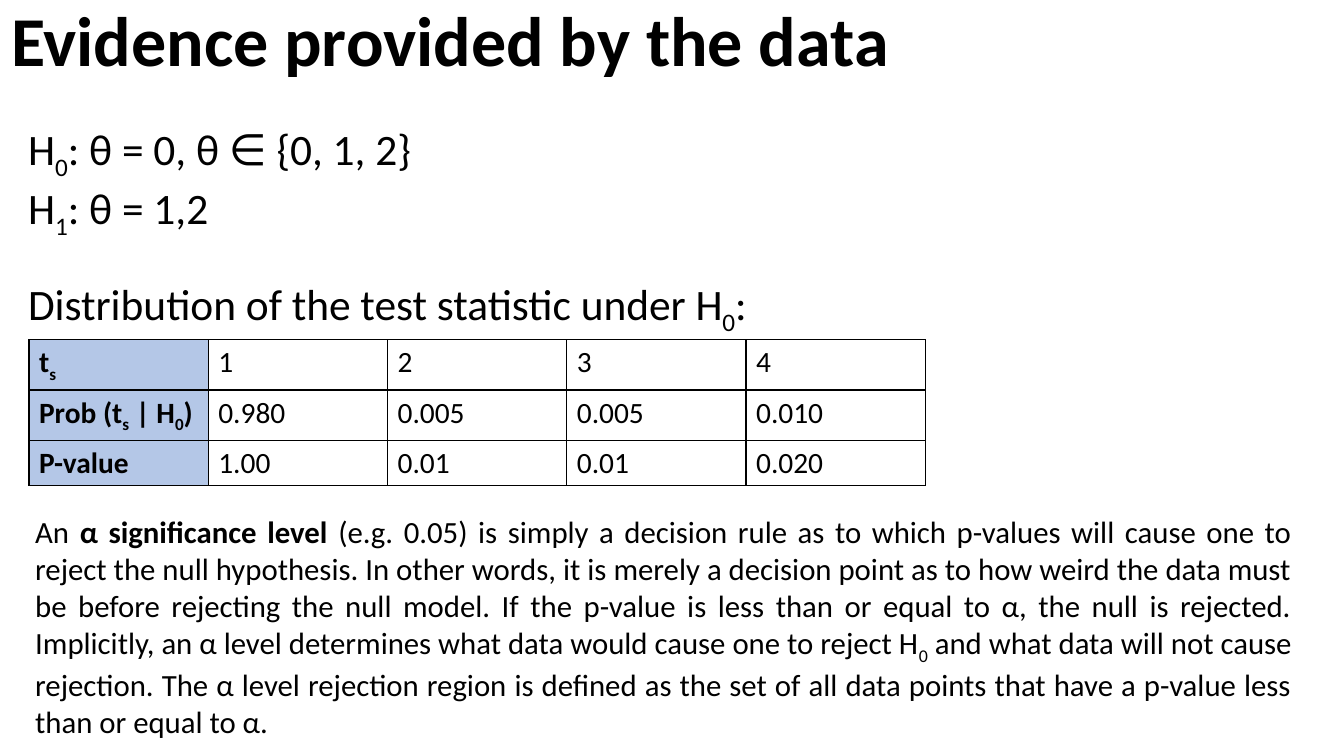
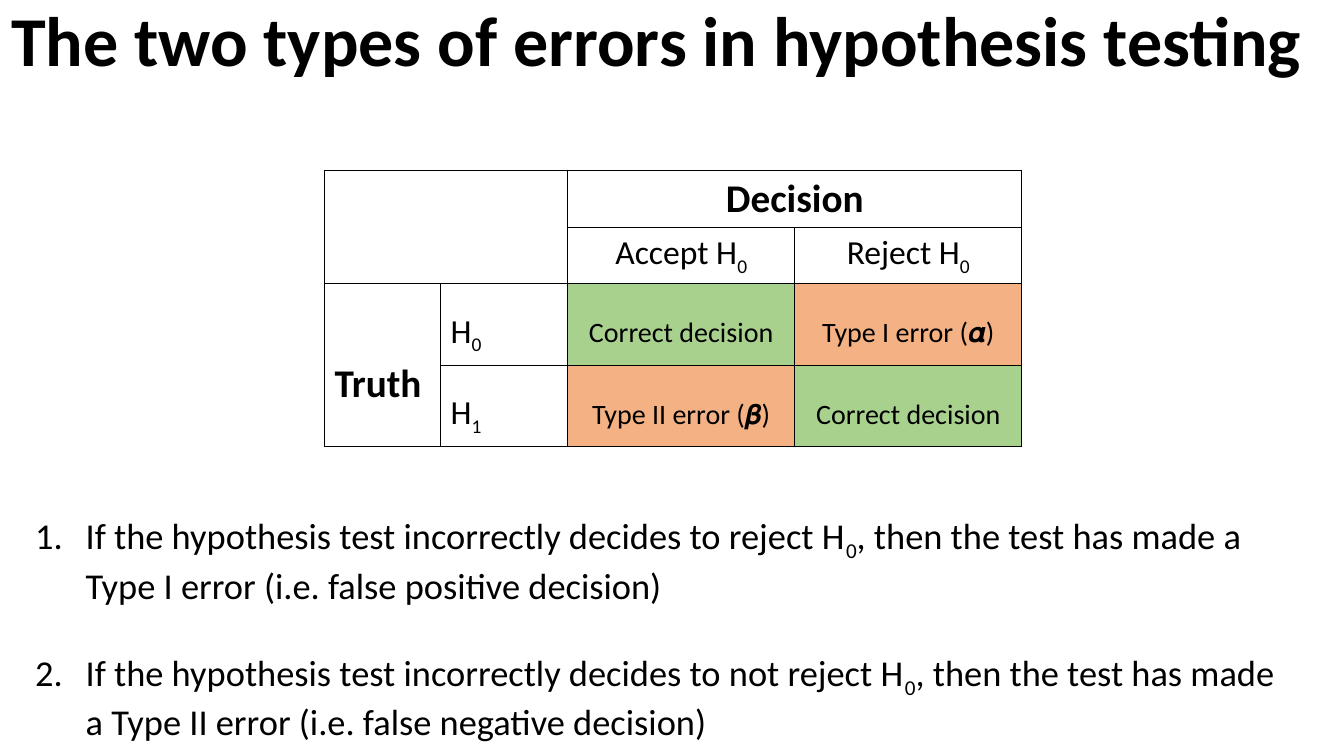
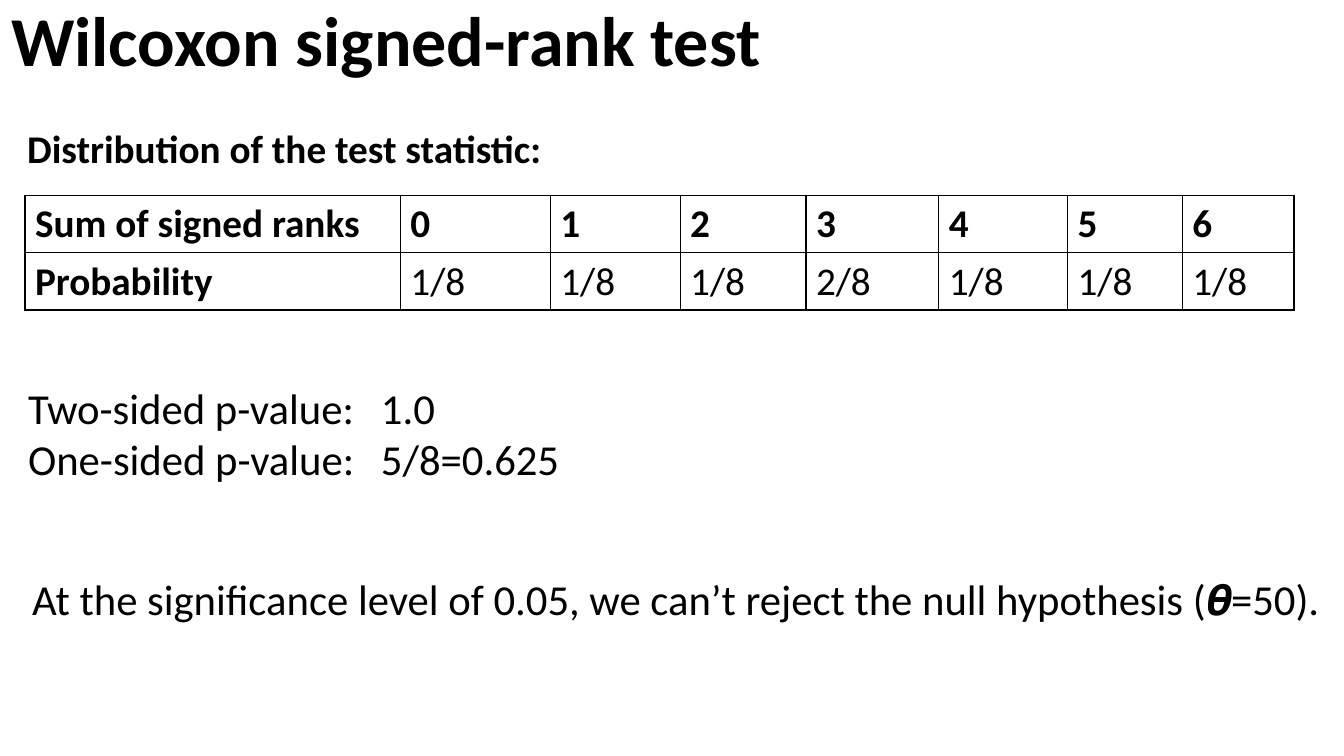
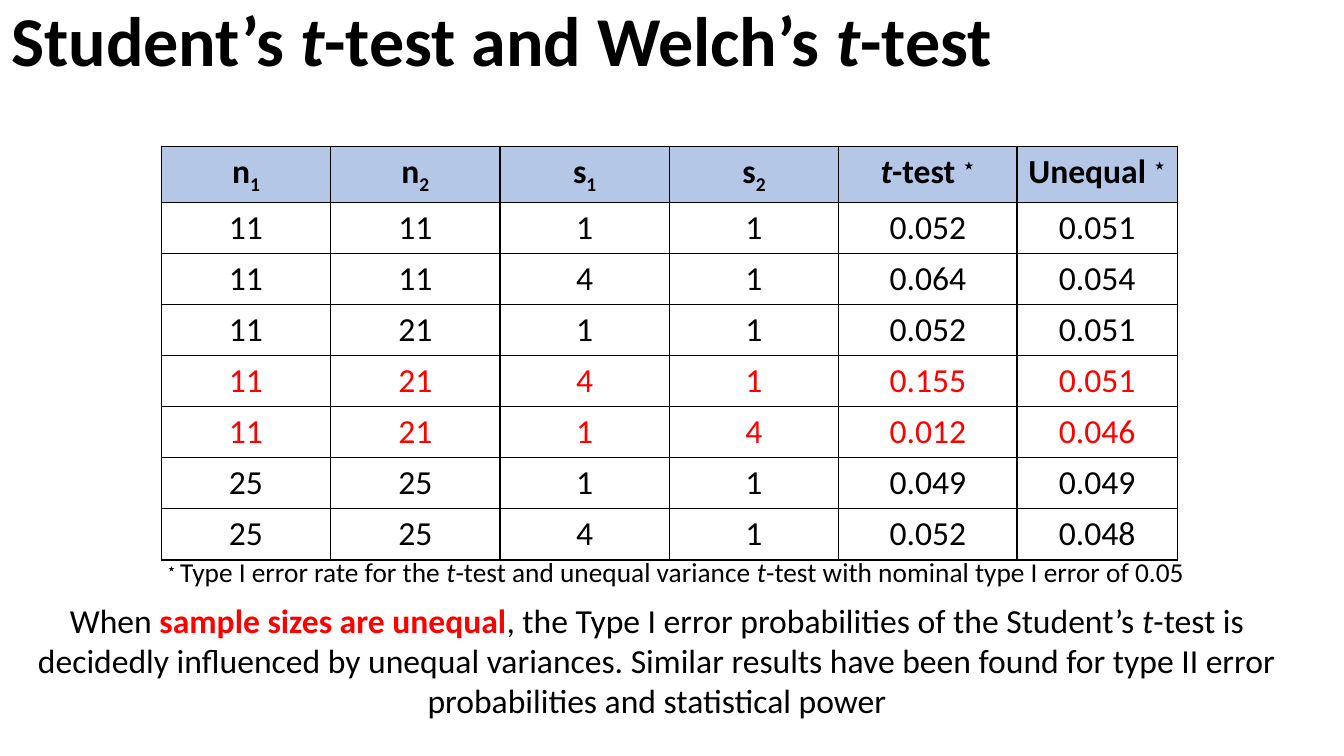
from dataclasses import dataclass

from lxml.etree import SubElement
from pptx import Presentation
from pptx.dml.color import RGBColor
from pptx.enum.text import MSO_ANCHOR as Anchor, PP_ALIGN as Align
from pptx.oxml.ns import qn
from pptx.util import Inches, Pt


@dataclass(frozen=True)
class Theme:
    font: str = "Calibri"
    ink: str = "000000"
    alert: str = "FF0000"
    header: str = "B4C7E7"
    correct: str = "A9D18E"
    error: str = "F4B183"
    title: float = 50
    statement: float = 31
    result: float = 30.5
    heading: float = 28
    item: float = 26
    body: float = 24
    paragraph: float = 22
    small_table: float = 21
    outcome: float = 20
    note: float = 19.5
    border: float = 1


THEME = Theme()
SLIDE_WIDTH, SLIDE_HEIGHT = Inches(13.33), Inches(7.5)
BASELINES = {"~": "-25000", "^": "30000"}
MARKS = "*_#~^"


@dataclass(frozen=True)
class Box:
    """Percentages of the slide's width and height."""
    left: float
    top: float
    width: float
    height: float

    def place(self):
        return (int(SLIDE_WIDTH * self.left / 100), int(SLIDE_HEIGHT * self.top / 100),
                int(SLIDE_WIDTH * self.width / 100), int(SLIDE_HEIGHT * self.height / 100))


@dataclass(frozen=True)
class Cell:
    text: str = ""
    size: float = THEME.body
    align: Align = Align.LEFT
    spacing: float = 1
    fill: str = ""


def split_marks(text):
    active, piece = set(), ""
    for letter in text:
        if letter in MARKS:
            if piece:
                yield piece, frozenset(active)
            active ^= {letter}
            piece = ""
        else:
            piece += letter
    if piece:
        yield piece, frozenset(active)


def write_paragraph(paragraph, text, size, align=Align.LEFT, spacing=1):
    """Marks: * bold, _ italic, # alert colour, ~ subscript, ^ superscript."""
    paragraph.alignment = align
    paragraph.line_spacing = spacing
    paragraph.font.name = THEME.font
    paragraph.font.size = Pt(size)
    for piece, marks in split_marks(text):
        run = paragraph.add_run()
        run.text = piece
        run.font.bold = "*" in marks
        run.font.italic = "_" in marks
        run.font.color.rgb = RGBColor.from_string(THEME.alert if "#" in marks else THEME.ink)
        for mark in marks & BASELINES.keys():
            run.font._element.set("baseline", BASELINES[mark])


def number_paragraph(paragraph):
    properties = paragraph._p.get_or_add_pPr()
    properties.set("marL", str(Inches(0.5)))
    properties.set("indent", str(-Inches(0.5)))
    SubElement(properties, qn("a:buFont"), typeface="+mj-lt")
    SubElement(properties, qn("a:buAutoNum"), type="arabicPeriod")


def add_text(slide, box, lines, size, align=Align.LEFT, spacing=1,
             anchor=Anchor.TOP, numbered=False, gap=0):
    frame = slide.shapes.add_textbox(*box.place()).text_frame
    frame.word_wrap = True
    frame.vertical_anchor = anchor
    for index, line in enumerate(lines):
        paragraph = frame.add_paragraph() if index else frame.paragraphs[0]
        if numbered:
            number_paragraph(paragraph)
        if index and gap:
            paragraph.space_before = Pt(gap)
        write_paragraph(paragraph, line, size, align, spacing)


def add_borders(cell):
    properties = cell._tc.get_or_add_tcPr()
    for side in ("lnL", "lnR", "lnT", "lnB"):
        line = SubElement(properties, qn(f"a:{side}"), w=str(Pt(THEME.border)))
        SubElement(SubElement(line, qn("a:solidFill")), qn("a:srgbClr"), val=THEME.ink)


def share_out(total, weights):
    return [int(total * weight / sum(weights)) for weight in weights]


def add_grid(slide, box, columns, rows, cells, merges=()):
    left, top, width, height = box.place()
    table = slide.shapes.add_table(len(rows), len(columns), left, top, width, height).table
    table.first_row = table.horz_banding = False
    for column, size in zip(table.columns, share_out(width, columns)):
        column.width = size
    for row, size in zip(table.rows, share_out(height, rows)):
        row.height = size
    for row_index, row in enumerate(cells):
        for column_index, content in enumerate(row):
            cell = table.cell(row_index, column_index)
            add_borders(cell)
            if content.fill:
                cell.fill.solid()
                cell.fill.fore_color.rgb = RGBColor.from_string(content.fill)
            else:
                cell.fill.background()
            write_paragraph(cell.text_frame.paragraphs[0], content.text,
                            content.size, content.align, content.spacing)
    for first, last in merges:
        table.cell(*first).merge(table.cell(*last))


def add_titled_slide(presentation, title):
    slide = presentation.slides.add_slide(presentation.slide_layouts[6])
    add_text(slide, Box(0.1, 0.5, 99.9, 10.5), [f"*{title}*"], THEME.title,
             spacing=0.9, anchor=Anchor.MIDDLE)
    return slide


def build_evidence(presentation):
    slide = add_titled_slide(presentation, "Evidence provided by the data")
    add_text(slide, Box(1.35, 15.47, 97.67, 15.47),
             ["H~0~: θ = 0, θ ∈ {0, 1, 2}", "H~1~: θ = 1,2"], THEME.statement)
    add_text(slide, Box(1.35, 36, 56.56, 8.27),
             ["Distribution of the test statistic under H~0~:"], THEME.statement)
    rows = [
        ("t~s~", "1", "2", "3", "4"),
        ("Prob (t~s~ | H~0~)", "0.980", "0.005", "0.005", "0.010"),
        ("P-value", "1.00", "0.01", "0.01", "0.020"),
    ]
    cells = [[Cell(f"*{label}*", THEME.small_table, fill=THEME.header),
              *(Cell(value, THEME.small_table) for value in values)]
             for label, *values in rows]
    add_grid(slide, Box(2.16, 44.93, 66.69, 19.33), [1] * 5, [10, 10, 9], cells)
    add_text(slide, Box(1.88, 67.2, 94.97, 30.93), [
        "An *α significance level *(e.g. 0.05) is simply a decision rule as to which "
        "p-values will cause one to reject the null hypothesis. In other words, it is "
        "merely a decision point as to how weird the data must be before rejecting the "
        "null model. If the p-value is less than or equal to α, the null is rejected. "
        "Implicitly, an α level determines what data would cause one to reject H~0~ and "
        "what data will not cause rejection. The α level rejection region is defined as "
        "the set of all data points that have a p-value less than or equal to α."
    ], THEME.paragraph, Align.JUSTIFY)


def build_error_types(presentation):
    slide = add_titled_slide(presentation, "The two types of errors in hypothesis testing")

    def decision(text, size=THEME.body):
        return Cell(text, size, Align.CENTER)

    def outcome(text, fill):
        return Cell(text, THEME.outcome, Align.CENTER, 1.8, fill)

    correct = outcome("Correct decision", THEME.correct)
    empty = Cell()
    cells = [
        [empty, empty, decision("*Decision*", THEME.heading), empty],
        [empty, empty, decision("Accept H~0~"), decision("Reject H~0~")],
        [Cell("*Truth*", THEME.heading, spacing=2.5), Cell("H~0~", spacing=1.5),
         correct, outcome("Type I error (𝜶)", THEME.error)],
        [empty, Cell("H~1~", spacing=1.5),
         outcome("Type II error (𝜷)", THEME.error), correct],
    ]
    add_grid(slide, Box(24.14, 22.53, 51.9, 36.5), [1.15, 1.26, 2.25, 2.25],
             [0.57, 0.55, 0.81, 0.81], cells,
             [((0, 0), (1, 1)), ((0, 2), (0, 3)), ((2, 0), (3, 0))])
    add_text(slide, Box(1.88, 67.2, 95.4, 30.53), [
        "If the hypothesis test incorrectly decides to reject H~0~, then the test has "
        "made a Type I error (i.e. false positive decision)",
        "If the hypothesis test incorrectly decides to not reject H~0~, then the test "
        "has made a Type II error (i.e. false negative decision)",
    ], THEME.item, numbered=True, gap=31)


def build_signed_rank(presentation):
    slide = add_titled_slide(presentation, "Wilcoxon signed-rank test")
    add_text(slide, Box(1.28, 15.73, 60, 7.6),
             ["*Distribution of the test statistic:*"], THEME.heading)
    sums = ["Sum of signed ranks", *map(str, range(7))]
    probabilities = ["*Probability*", *(f"{count}/8" for count in (1, 1, 1, 2, 1, 1, 1))]
    cells = [[Cell(f"*{value}*", THEME.heading) for value in sums],
             [Cell(value, THEME.heading) for value in probabilities]]
    add_grid(slide, Box(1.86, 25.87, 94.43, 15.07),
             [3.73, 1.49, 1.29, 1.25, 1.32, 1.28, 1.14, 1.11], [1, 1], cells)
    add_text(slide, Box(1.35, 49.87, 55.57, 15.07),
             ["Two-sided p-value:\t1.0", "One-sided p-value:\t5/8=0.625"], THEME.result)
    add_text(slide, Box(1.65, 75.07, 98.05, 8.13),
             ["At the significance level of 0.05, we can’t reject the null hypothesis (𝜽=50)."],
             THEME.result)


def build_t_tests(presentation):
    slide = add_titled_slide(presentation, "Student’s _t_-test and Welch’s _t_-test")
    headers = ["n~1~", "n~2~", "s~1~", "s~2~", "_t_-test ^⋆^", "Unequal ^⋆^"]
    rows = [
        ("11", "11", "1", "1", "0.052", "0.051"),
        ("11", "11", "4", "1", "0.064", "0.054"),
        ("11", "21", "1", "1", "0.052", "0.051"),
        ("11", "21", "4", "1", "0.155", "0.051"),
        ("11", "21", "1", "4", "0.012", "0.046"),
        ("25", "25", "1", "1", "0.049", "0.049"),
        ("25", "25", "4", "1", "0.052", "0.048"),
    ]
    alert_rows = (3, 4)
    cells = [[Cell(f"*{header}*", align=Align.CENTER, fill=THEME.header) for header in headers]]
    for index, row in enumerate(rows):
        mark = "#" if index in alert_rows else ""
        cells.append([Cell(f"{mark}{value}{mark}", align=Align.CENTER) for value in row])
    add_grid(slide, Box(12, 19.33, 75.6, 54.63), [1.68] * 4 + [1.77, 1.59],
             [0.55] + [0.51] * len(rows), cells)
    add_text(slide, Box(1.8, 78.67, 94.15, 17.47), [
        "When #*sample sizes are unequal*#, the Type I error probabilities of the "
        "Student’s _t_-test is decidedly influenced by unequal variances. Similar results "
        "have been found for type II error probabilities and statistical power"
    ], THEME.body, Align.CENTER)
    add_text(slide, Box(10.2, 72.8, 80.12, 5.73), [
        "^⋆ ^Type I error rate for the _t_-test and unequal variance _t_-test "
        "with nominal type I error of 0.05"
    ], THEME.note, Align.CENTER)


def main():
    presentation = Presentation()
    presentation.slide_width, presentation.slide_height = SLIDE_WIDTH, SLIDE_HEIGHT
    for build in (build_evidence, build_error_types, build_signed_rank, build_t_tests):
        build(presentation)
    presentation.save("out.pptx")


if __name__ == "__main__":
    main()
